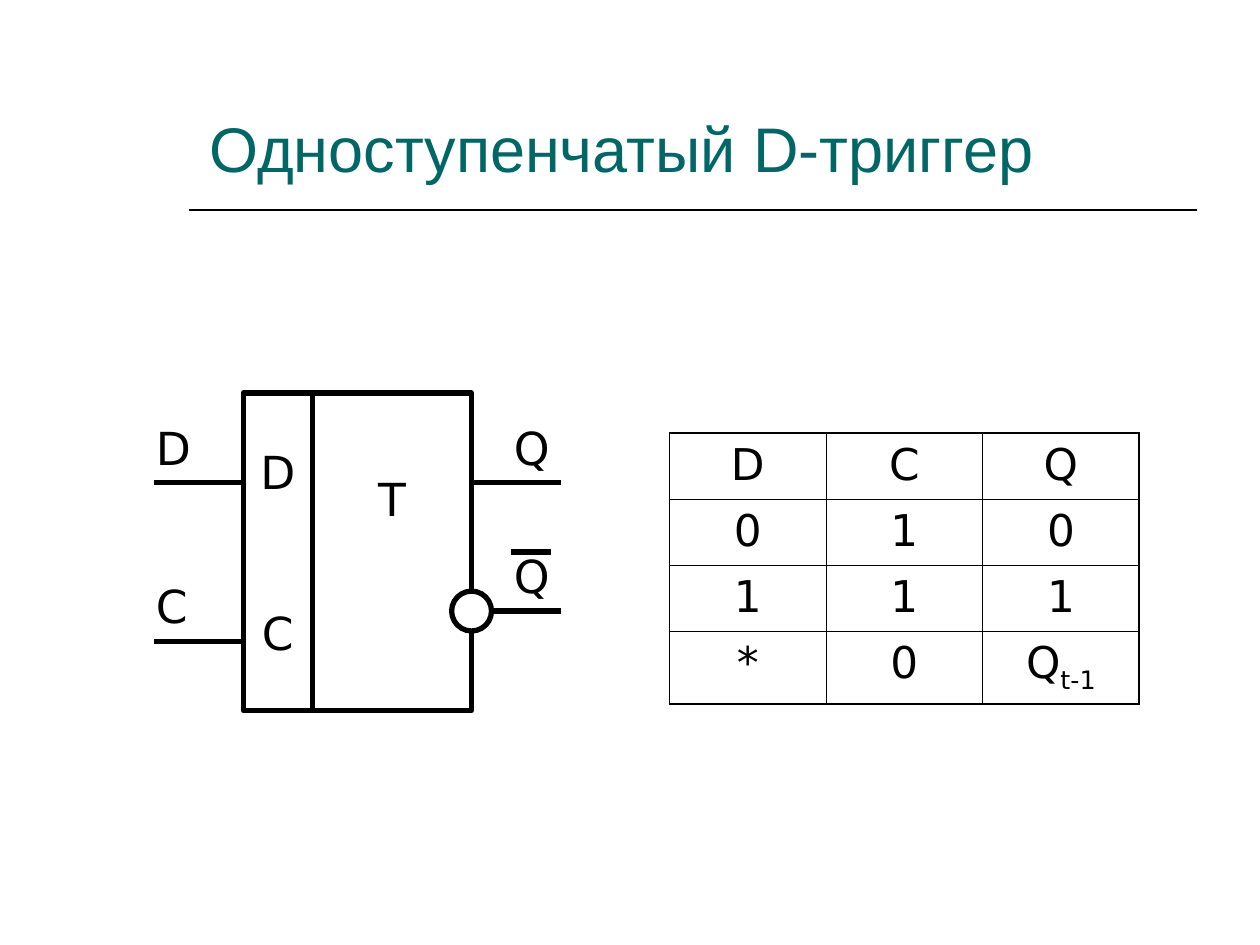
from lxml.etree import SubElement
from pptx import Presentation
from pptx.dml.color import RGBColor
from pptx.enum.shapes import MSO_CONNECTOR as Conn, MSO_SHAPE as Shape
from pptx.enum.text import MSO_ANCHOR as Anchor, MSO_AUTO_SIZE as Fit, PP_ALIGN as Align
from pptx.oxml import parse_xml
from pptx.oxml.ns import nsdecls, qn
from pptx.util import Pt

COLORS = {"title": "006666", "ink": "000000", "paper": "FFFFFF"}


def color(name):
    return RGBColor.from_string(COLORS[name])


class SlideBuilder:
    title_font, body_font = "Arial", "DejaVu Sans"
    title_size, label_size, table_size = 36, 26, 25
    stroke = 3
    outer, inner = 1.08, 0.45

    def __init__(self, prs):
        self.slide = prs.slides.add_slide(prs.slide_layouts[5])
        self.shapes = self.slide.shapes

    def style(self, p, size, ink="ink", font=None, align=Align.LEFT):
        p.alignment = align
        for r in p.runs:
            r.font.size = Pt(size)
            r.font.name = font or self.body_font
            r.font.color.rgb = color(ink)

    def title(self, text, x, y, w, h):
        sp = self.shapes.title
        sp.left, sp.top, sp.width, sp.height = Pt(x), Pt(y), Pt(w), Pt(h)
        tf = sp.text_frame
        tf.text = text
        tf.auto_size = Fit.NONE
        tf.vertical_anchor = Anchor.BOTTOM
        self.style(tf.paragraphs[0], self.title_size, "title", self.title_font)

    def line(self, x1, y1, x2, y2, width=stroke):
        ln = self.shapes.add_connector(Conn.STRAIGHT, Pt(x1), Pt(y1), Pt(x2), Pt(y2))
        ln.line.color.rgb = color("ink")
        ln.line.width = Pt(width)
        SubElement(ln._element.spPr, qn("a:effectLst"))

    def shape(self, kind, x, y, w, h, lines=(), gap=0, bottom=3.6):
        sp = self.shapes.add_shape(kind, Pt(x), Pt(y), Pt(w), Pt(h))
        sp.shadow.inherit = False
        sp.fill.solid()
        sp.fill.fore_color.rgb = color("paper")
        sp.line.color.rgb = color("ink")
        sp.line.width = Pt(self.stroke)
        if not lines:
            return
        tf = sp.text_frame
        tf.text = "\n".join(lines)
        tf.word_wrap = False
        tf.vertical_anchor = Anchor.MIDDLE
        tf.margin_bottom = Pt(bottom)
        for i, p in enumerate(tf.paragraphs):
            self.style(p, self.label_size, align=Align.CENTER)
            if i:
                p.space_before = Pt(gap)

    def label(self, text, x, y, w=51, h=39):
        tf = self.shapes.add_textbox(Pt(x), Pt(y), Pt(w), Pt(h)).text_frame
        tf.word_wrap = True
        tf.text = text
        self.style(tf.paragraphs[0], self.label_size)

    def borders(self, cell, widths):
        tc_pr = cell._tc.get_or_add_tcPr()
        for i, (side, width) in enumerate(zip("LRTB", widths)):
            tc_pr.insert(i, parse_xml(
                f'<a:ln{side} {nsdecls("a")} w="{Pt(width)}"><a:solidFill>'
                f'<a:srgbClr val="{COLORS["ink"]}"/></a:solidFill></a:ln{side}>'))

    def table(self, rows, x, y, col_w, heights):
        n_rows, n_cols = len(rows), len(rows[0])
        table = self.shapes.add_table(n_rows, n_cols, Pt(x), Pt(y),
                                      Pt(col_w * n_cols), Pt(sum(heights))).table
        for col in table.columns:
            col.width = Pt(col_w)
        for i, (row, height) in enumerate(zip(rows, heights)):
            table.rows[i].height = Pt(height)
            for j, text in enumerate(row):
                cell = table.cell(i, j)
                cell.fill.background()
                base, _, sub = text.partition("_")
                cell.text_frame.text = base
                p = cell.text_frame.paragraphs[0]
                if sub:
                    r = p.add_run()
                    r.text = sub
                    r._r.get_or_add_rPr().set("baseline", "-25000")
                self.style(p, self.table_size, align=Align.CENTER)
                p.line_spacing = 1.01
                edges = (j == 0, j == n_cols - 1, i == 0, i == n_rows - 1)
                self.borders(cell, [self.outer if e else self.inner for e in edges])


def main():
    prs = Presentation()
    prs.slide_width, prs.slide_height = Pt(720), Pt(540)
    s = SlideBuilder(prs)

    # Heading
    s.line(108, 120.2, 684, 120.2, width=1)
    s.title("Одноступенчатый D-триггер", 112.5, 28, 567.5, 81.5)

    # Truth table
    s.table([["D", "C", "Q"], ["0", "1", "0"], ["1", "1", "1"], ["*", "0", "Q_t-1"]],
            382.5, 247.5, 89.5, [37.7, 37.7, 37.7, 41.8])

    # Flip-flop body: input field and main field
    left, middle, right = 139, 178.5, 269.5
    top, height = 224.5, 181.5
    s.shape(Shape.RECTANGLE, left, top, middle - left, height, ["D", "С"], gap=60.5)
    s.shape(Shape.RECTANGLE, middle, top, right - middle, height, ["T"], bottom=64)

    # Pins with their labels
    pin = 51
    upper, inverse, clock = 275.8, 349.2, 366.5
    for text, x, y in [("D", left - pin, upper), ("С", left - pin, clock),
                       ("Q", right, upper), ("Q", right, inverse)]:
        s.line(x, y, x + pin, y)
        s.label(text, x - 6 if x < left else x + 17, y - 39.5)

    # Inversion circle and overbar
    radius = 11.4
    s.shape(Shape.OVAL, right - radius, inverse - radius, 2 * radius, 2 * radius)
    s.line(292.3, 315.4, 314.6, 315.4)

    prs.save("out.pptx")


if __name__ == "__main__":
    main()
